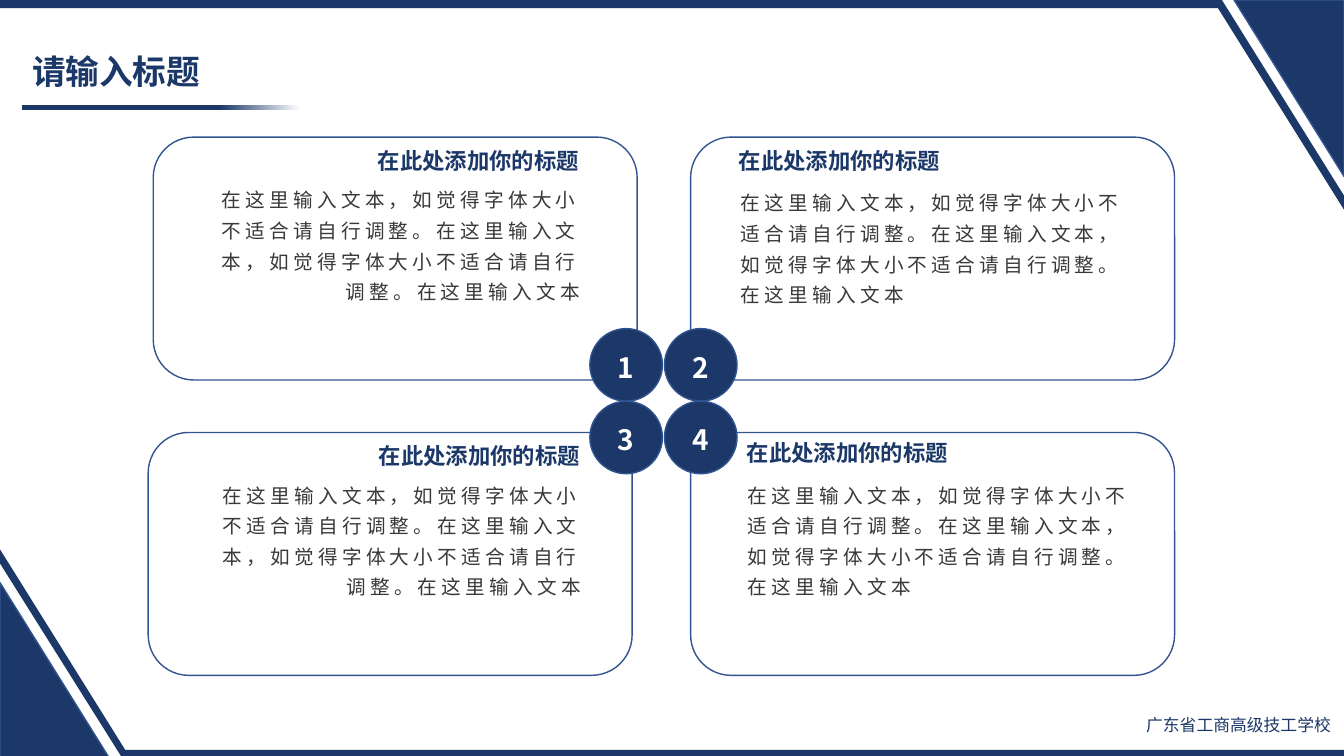
from dataclasses import dataclass

from lxml import etree
from pptx import Presentation
from pptx import util as u
from pptx.dml.color import RGBColor
from pptx.enum import shapes, text
from pptx.oxml.ns import qn


@dataclass(frozen=True)
class Theme:
    """Colours, type sizes and font of the slide."""
    navy: RGBColor = RGBColor(0x1B, 0x38, 0x68)
    outline: RGBColor = RGBColor(0x32, 0x54, 0x91)
    ink: RGBColor = RGBColor(0x3B, 0x38, 0x38)
    white: RGBColor = RGBColor(0xFF, 0xFF, 0xFF)
    title: int = 24
    number: int = 20
    heading: int = 16
    body: int = 14
    footer: int = 12
    font: str = "Noto Sans CJK SC"


THEME = Theme()
SHAPE = shapes.MSO_SHAPE
LEFT, RIGHT, CENTER = text.PP_ALIGN.LEFT, text.PP_ALIGN.RIGHT, text.PP_ALIGN.CENTER
HEADING = "在此处添加你的标题"
BODY = "在这里输入文本，如觉得字体大小不适合请自行调整。" * 2 + "在这里输入文本"
CARD_SIZE = (4.8, 2.41)
CARDS = [
    ((1.52, 1.36), (2.92, 1.41), (1.9, 1.75, 3.95), RIGHT),
    ((6.85, 1.36), (7.23, 1.41), (7.25, 1.78, 4.11), LEFT),
    ((1.47, 4.29), (2.93, 4.34), (1.91, 4.68, 3.95), RIGHT),
    ((6.85, 4.29), (7.31, 4.31), (7.32, 4.68, 4.11), LEFT),
]
BARS = [(0, 0, 12.11, 0.08), (1.22, 7.44, 12.11, 0.06)]
CORNERS = [(0, 5.78, 0), (12.24, 0, 180)]
STRIPES = [
    [(0, 5.45), (1.28, 7.5), (1.2, 7.5), (0, 5.59)],
    [(13.33, 2.08), (12.03, 0), (12.12, 0), (13.33, 1.94)],
]


def write(frame, words, size, color, bold=False, align=LEFT, spacing=0):
    """Put one styled paragraph in a text frame and return it."""
    paragraph = frame.paragraphs[0]
    paragraph.text = words
    paragraph.alignment = align
    for run in paragraph.runs:
        run.font.size = u.Pt(size)
        run.font.bold = bold
        run.font.color.rgb = color
        run.font.name = THEME.font
        properties = run._r.get_or_add_rPr()
        properties.set("lang", "zh-CN")
        properties.set("spc", str(spacing * 100))
        etree.SubElement(properties, qn("a:ea"), typeface=THEME.font)
    return paragraph


def add_text(slide, box, words, size, color, **style):
    """Add a wrapping text box and return its frame and paragraph."""
    frame = slide.shapes.add_textbox(*map(u.Inches, box)).text_frame
    frame.word_wrap = True
    return frame, write(frame, words, size, color, **style)


def paint(shape, fill=None, line=None):
    """Set the fill and outline of a shape without shadow."""
    shape.shadow.inherit = False
    if fill is None:
        shape.fill.background()
    else:
        shape.fill.solid()
        shape.fill.fore_color.rgb = fill
    if line is None:
        shape.line.fill.background()
    else:
        shape.line.color.rgb = line
        shape.line.width = u.Pt(1)


def add_shape(slide, kind, box, fill=None, line=None):
    """Add a painted preset shape."""
    shape = slide.shapes.add_shape(kind, *map(u.Inches, box))
    paint(shape, fill, line)
    return shape


def add_stripe(slide, points):
    """Add a closed navy polygon."""
    start, *others = [tuple(map(u.Inches, point)) for point in points]
    builder = slide.shapes.build_freeform(*start)
    builder.add_line_segments(others, close=True)
    paint(builder.convert_to_shape(), THEME.navy)


def add_frame(slide):
    """Add the edge bars, corner triangles and stripes."""
    for bar in BARS:
        add_shape(slide, SHAPE.RECTANGLE, bar, THEME.navy)
    for left, top, rotation in CORNERS:
        corner = add_shape(slide, SHAPE.RIGHT_TRIANGLE, (left, top, 1.09, 1.75),
                           THEME.navy, THEME.outline)
        corner.rotation = rotation
    for points in STRIPES:
        add_stripe(slide, points)


def add_title(slide):
    """Add the title and its fading underline."""
    underline = add_shape(slide, SHAPE.RECTANGLE, (0.22, 1.04, 2.76, 0.05))
    underline.fill.gradient()
    underline.fill.gradient_angle = 0
    stops = zip(underline.fill.gradient_stops, (0.71, 1), (THEME.navy, THEME.white))
    for stop, position, color in stops:
        stop.position = position
        stop.color.rgb = color
    frame, paragraph = add_text(slide, (0.22, 0.45, 3.58, 0.56), "请输入标题",
                                THEME.title, THEME.navy, bold=True)
    frame.vertical_anchor = text.MSO_ANCHOR.MIDDLE
    paragraph.line_spacing = 0.9


def add_card(slide, corner, heading, body, align):
    """Add an outlined card with its heading and body text."""
    add_shape(slide, SHAPE.ROUNDED_RECTANGLE, corner + CARD_SIZE, line=THEME.outline)
    add_text(slide, heading + (2.92, 0.37), HEADING, THEME.heading, THEME.navy,
             bold=True, align=align)
    _, paragraph = add_text(slide, body + (1.3,), BODY, THEME.body, THEME.ink,
                            align=align, spacing=3)
    paragraph.line_spacing = 1.3
    paragraph.space_after = u.Pt(6)


def add_number(slide, index):
    """Add a numbered circle at its place in the two by two cluster."""
    row, column = divmod(index, 2)
    box = (5.85 + 0.74 * column, 3.26 + 0.72 * row, 0.72, 0.72)
    circle = add_shape(slide, SHAPE.OVAL, box, THEME.navy, THEME.outline)
    frame = circle.text_frame
    frame.margin_left = frame.margin_right = frame.margin_bottom = 0
    frame.margin_top = u.Inches(0.04)
    frame.vertical_anchor = text.MSO_ANCHOR.MIDDLE
    write(frame, str(index + 1), THEME.number, THEME.white, bold=True, align=CENTER)


def main():
    """Build the slide and save it."""
    presentation = Presentation()
    presentation.slide_width = u.Inches(13.33)
    presentation.slide_height = u.Inches(7.5)
    slide = presentation.slides.add_slide(presentation.slide_layouts[6])
    add_frame(slide)
    add_title(slide)
    for card in CARDS:
        add_card(slide, *card)
    for index in range(len(CARDS)):
        add_number(slide, index)
    add_text(slide, (11.27, 7.04, 2.04, 0.3), "广东省工商高级技工学校",
             THEME.footer, THEME.navy)
    presentation.save("out.pptx")


if __name__ == "__main__":
    main()
